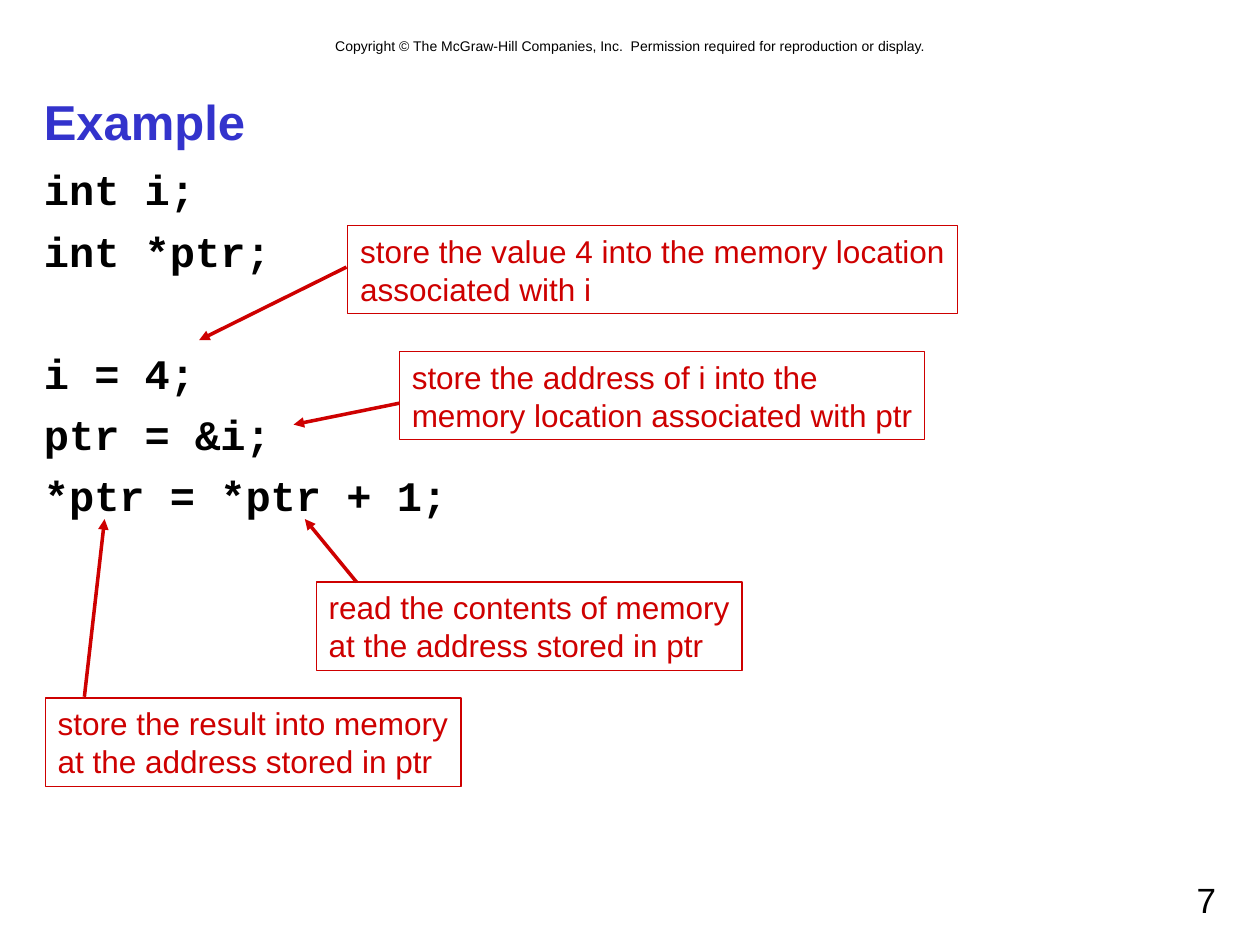
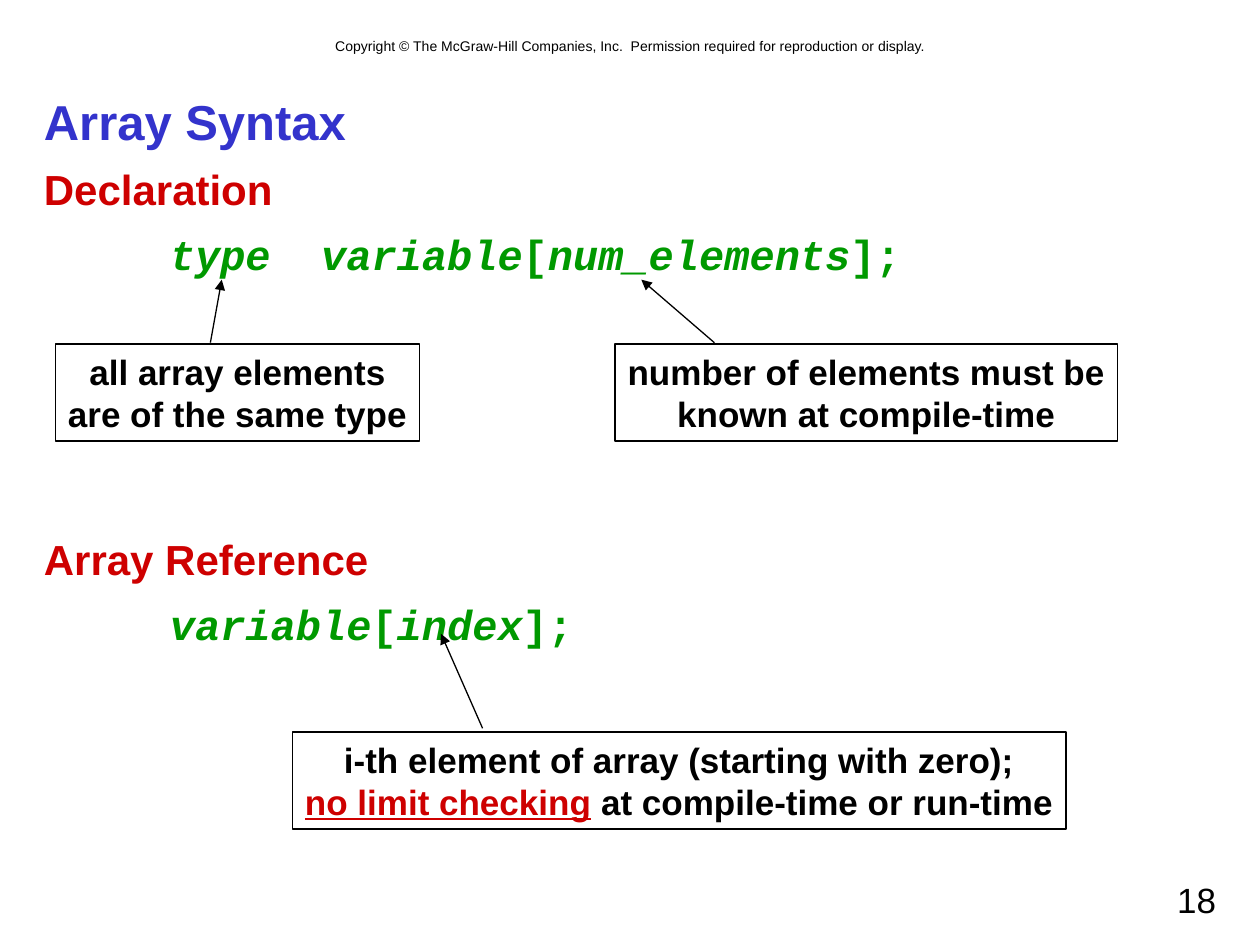
from pptx import Presentation
from pptx.dml.color import RGBColor
from pptx.enum.shapes import MSO_CONNECTOR, MSO_SHAPE
from pptx.enum.text import MSO_ANCHOR, PP_ALIGN
from pptx.oxml.ns import qn
from pptx.util import Inches, Pt
from lxml import etree

BLACK = RGBColor(0x00, 0x00, 0x00)
BLUE = RGBColor(0x33, 0x33, 0xCC)
RED = RGBColor(0xCE, 0x00, 0x00)
GREEN = RGBColor(0x00, 0x99, 0x00)
SANS, MONO = "Arial", "Courier New"
LEFT, CENTER, RIGHT = PP_ALIGN.LEFT, PP_ALIGN.CENTER, PP_ALIGN.RIGHT
TOP, MIDDLE = MSO_ANCHOR.TOP, MSO_ANCHOR.MIDDLE
RECTANGLE, STRAIGHT = MSO_SHAPE.RECTANGLE, MSO_CONNECTOR.STRAIGHT

COPYRIGHT = ("Copyright © The McGraw-Hill Companies, Inc.  "
             "Permission required for reproduction or display.")
CODE_LINE = 28.9
LINE_GAP = 6
HEADING_GAP = 2.1

CODE = dict(size=24, font=MONO, bold=True)
SYNTAX = dict(CODE, color=GREEN)
VARIABLE = dict(SYNTAX, italic=True)
HEADING = dict(size=24, color=RED, bold=True)
RED_NOTE = dict(size=18, color=RED)
BLACK_NOTE = dict(size=20, bold=True)
WARNING = dict(BLACK_NOTE, color=RED, underline=True)

RED_CALLOUTS = dict(color=RED, align=LEFT, height=0.7, arrow_width=2)
BLACK_CALLOUTS = dict(color=BLACK, align=CENTER, height=0.77, arrow_width=0.75)


def note(style, *lines):
    return [[(line, style)] for line in lines]


# body: (runs, indent in inches, skipped lines); callouts: (left, top, width, lines, arrow)
SLIDES = [
    dict(
        title="Example", number="7", look=RED_CALLOUTS,
        body=[
            ([("int i;", CODE)], 0, 0),
            ([("int *ptr;", CODE)], 0, 0),
            ([("i = 4;", CODE)], 0, 1),
            ([("ptr = &i;", CODE)], 0, 0),
            ([("*ptr = *ptr + 1;", CODE)], 0, 0),
        ],
        callouts=[
            (2.76, 1.79, 4.84,
             note(RED_NOTE, "store the value 4 into the memory location", "associated with i"),
             (2.75, 2.12, 1.58, 2.7)),
            (3.17, 2.79, 4.17,
             note(RED_NOTE, "store the address of i into the",
                  "memory location associated with ptr"),
             (3.17, 3.2, 2.33, 3.37)),
            (2.51, 4.62, 3.38,
             note(RED_NOTE, "read the contents of memory", "at the address stored in ptr"),
             (2.83, 4.62, 2.42, 4.12)),
            (0.36, 5.54, 3.3,
             note(RED_NOTE, "store the result into memory", "at the address stored in ptr"),
             (0.67, 5.53, 0.83, 4.12)),
        ],
    ),
    dict(
        title="Array Syntax", number="18", look=BLACK_CALLOUTS,
        body=[
            ([("Declaration", HEADING)], 0, 0),
            ([("type  variable", VARIABLE), ("[", SYNTAX),
              ("num_elements", VARIABLE), ("];", SYNTAX)], 1, 0),
            ([("Array Reference", HEADING)], 0, 4),
            ([("variable", VARIABLE), ("[", SYNTAX),
              ("index", VARIABLE), ("];", SYNTAX)], 1, 0),
        ],
        callouts=[
            (0.44, 2.73, 2.89,
             note(BLACK_NOTE, "all array elements", "are of the same type"),
             (1.67, 2.72, 1.76, 2.22)),
            (4.88, 2.73, 3.99,
             note(BLACK_NOTE, "number of elements must be", "known at compile-time"),
             (5.67, 2.72, 5.09, 2.22)),
            (2.32, 5.81, 6.14,
             [[("i-th element of array (starting with zero);", BLACK_NOTE)],
              [("no limit checking", WARNING), (" at compile-time or run-time", BLACK_NOTE)]],
             (3.83, 5.78, 3.5, 5.03)),
        ],
    ),
]


def add_span(para, text, size, font=SANS, color=BLACK, bold=False, italic=False, underline=False):
    span = para.add_run()
    span.text = text
    span.font.size = Pt(size)
    span.font.name = font
    span.font.color.rgb = color
    span.font.bold = bold
    span.font.italic = italic
    span.font.underline = underline


def write_lines(frame, lines, align=LEFT, anchor=TOP, wrap=True):
    frame.word_wrap = wrap
    frame.vertical_anchor = anchor
    for index, spans in enumerate(lines):
        para = frame.add_paragraph() if index else frame.paragraphs[0]
        para.alignment = align
        for text, style in spans:
            add_span(para, text, **style)


def add_text(page, area, lines, align=LEFT, anchor=TOP):
    box = page.shapes.add_textbox(*map(Inches, area))
    write_lines(box.text_frame, lines, align, anchor)
    return box


def add_body(page, rows):
    box = add_text(page, (0.25, 1.25, 9.5, 5.42), [spans for spans, _, _ in rows])
    for index, (para, (spans, indent, skipped)) in enumerate(zip(box.text_frame.paragraphs, rows)):
        if index:
            para.space_before = Pt(LINE_GAP + skipped * (CODE_LINE + LINE_GAP))
        if spans[0][1] is HEADING:
            para.space_after = Pt(HEADING_GAP)
        else:
            para.line_spacing = Pt(CODE_LINE)
        if indent:
            properties = para._p.get_or_add_pPr()
            properties.set("marL", str(Inches(indent)))
            properties.set("indent", "0")


def add_arrow(page, ends, color, width):
    arrow = page.shapes.add_connector(STRAIGHT, *map(Inches, ends))
    arrow.line.color.rgb = color
    arrow.line.width = Pt(width)
    etree.SubElement(arrow.line._get_or_add_ln(), qn("a:tailEnd"), type="triangle")
    etree.SubElement(arrow._element.spPr, qn("a:effectLst"))


def add_callout(page, left, top, width, lines, ends, look):
    box = page.shapes.add_shape(RECTANGLE, *map(Inches, (left, top, width, look["height"])))
    box.shadow.inherit = False
    box.fill.background()
    box.line.color.rgb = look["color"]
    box.line.width = Pt(0.75)
    write_lines(box.text_frame, lines, look["align"], wrap=False)
    add_arrow(page, ends, look["color"], look["arrow_width"])


def add_page(deck, content):
    page = deck.slides.add_slide(deck.slide_layouts[6])
    add_text(page, (0.67, 0.25, 8.67, 0.24), [[(COPYRIGHT, dict(size=8))]], CENTER)
    add_text(page, (0.25, 0.67, 9.5, 0.58),
             [[(content["title"], dict(size=28, color=BLUE, bold=True))]], anchor=MIDDLE)
    add_body(page, content["body"])
    for callout in content["callouts"]:
        add_callout(page, *callout, content["look"])
    add_text(page, (7.17, 6.92, 2.58, 0.42), [[(content["number"], dict(size=20))]], RIGHT)


def main():
    deck = Presentation()
    deck.slide_width, deck.slide_height = Inches(10), Inches(7.5)
    for content in SLIDES:
        add_page(deck, content)
    deck.save("out.pptx")


if __name__ == "__main__":
    main()
